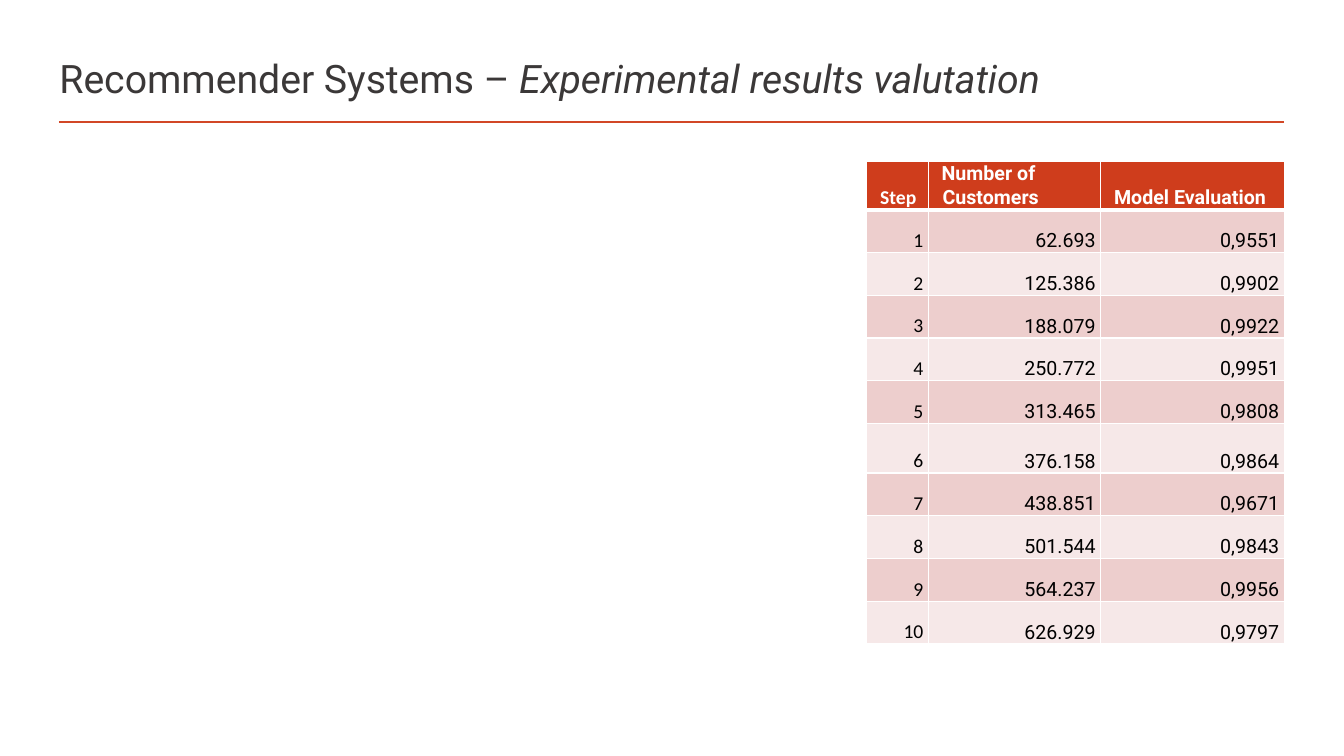
from lxml.etree import SubElement
from pptx import Presentation
from pptx.dml.color import RGBColor
from pptx.enum.shapes import MSO_CONNECTOR as CONN
from pptx.enum.text import MSO_ANCHOR as ANCHOR, PP_ALIGN as ALIGN
from pptx.oxml.ns import qn
from pptx.util import Inches, Pt

HEADERS = ["Step", "Number of Customers", "Model Evaluation"]
RESULTS = [
    ("62.693", "0,9551"), ("125.386", "0,9902"), ("188.079", "0,9922"),
    ("250.772", "0,9951"), ("313.465", "0,9808"), ("376.158", "0,9864"),
    ("438.851", "0,9671"), ("501.544", "0,9843"), ("564.237", "0,9956"),
    ("626.929", "0,9797"),
]
TALL_STEP = 6
HEADER_H, TALL_H = 6.27, 6.53


def rgb(value):
    return RGBColor.from_string(value)


def add_text(p, text, font="Roboto", size=14, color="000000", bold=False, italic=False):
    r = p.add_run()
    r.text = text
    f = r.font
    f.name, f.size, f.bold, f.italic = font, Pt(size), bold, italic
    f.color.rgb = rgb(color)


class Deck:
    """Slide style and drawing methods; lengths are percent of the slide's size."""

    ACCENT, HEAD, WHITE, TITLE = "D24726", "CF3D1C", "FFFFFF", "3B3838"
    BANDS = ("EDCECD", "F6E8E8")

    def __init__(self):
        self.prs = Presentation()
        self.prs.slide_width, self.prs.slide_height = Inches(13.33), Inches(7.5)
        self.s = self.prs.slides.add_slide(self.prs.slide_layouts[6])

    def x(self, share):
        return round(self.prs.slide_width * share / 100)

    def y(self, share):
        return round(self.prs.slide_height * share / 100)

    def box(self, left, top, width, height):
        return self.x(left), self.y(top), self.x(width), self.y(height)

    def rule(self, left, right, top):
        sp = self.s.shapes.add_connector(
            CONN.STRAIGHT, self.x(left), self.y(top), self.x(right), self.y(top))
        sp.line.color.rgb, sp.line.width = rgb(self.ACCENT), Pt(2)
        SubElement(sp._element.spPr, qn("a:effectLst"))

    def title(self, text, emphasis, *place):
        tf = self.s.shapes.add_textbox(*self.box(*place)).text_frame
        tf.word_wrap, tf.vertical_anchor = True, ANCHOR.MIDDLE
        p = tf.paragraphs[0]
        add_text(p, text, size=28, color=self.TITLE)
        add_text(p, emphasis, size=28, color=self.TITLE, italic=True)

    def border(self, cell, side, width):
        ln = SubElement(cell._tc.get_or_add_tcPr(), qn(f"a:ln{side}"), w=str(Pt(width)))
        SubElement(SubElement(ln, qn("a:solidFill")), qn("a:srgbClr"), val=self.WHITE)

    def cell(self, cell, text, row, col):
        head = row == 0
        widths = {"L": 1, "R": 1, "T": 3 if row == 1 else 1, "B": 3 if head else 1}
        for side, width in widths.items():
            self.border(cell, side, width)
        cell.fill.solid()
        cell.fill.fore_color.rgb = rgb(self.HEAD if head else self.BANDS[(row - 1) % 2])
        cell.margin_left = cell.margin_right = Inches(0.05)
        cell.margin_top = cell.margin_bottom = 0
        cell.vertical_anchor = ANCHOR.BOTTOM
        p = cell.text_frame.paragraphs[0]
        p.alignment = ALIGN.LEFT if head else ALIGN.RIGHT
        p.line_spacing, p.space_after = 1.03, Pt(0.1)
        pPr = p._p.get_or_add_pPr()
        pPr.set("marL", str(Inches(0.09)))
        pPr.set("indent", str(Inches(-0.01)))
        add_text(p, text, font="Roboto" if col else "Calibri",
                 color=self.WHITE if head else "000000", bold=head)

    def table(self, rows, col_widths, row_heights, left, top):
        place = self.box(left, top, sum(col_widths), sum(row_heights))
        tbl = self.s.shapes.add_table(len(rows), len(col_widths), *place).table
        for col, width in zip(tbl.columns, col_widths):
            col.width = self.x(width)
        for i, (values, height) in enumerate(zip(rows, row_heights)):
            tbl.rows[i].height = self.y(height)
            for j, text in enumerate(values):
                self.cell(tbl.cell(i, j), text, i, j)


def main():
    deck = Deck()
    deck.rule(4.38, 95.55, 16.13)
    deck.title("Recommender Systems – ", "Experimental results valutation",
               3.68, 6.27, 91.95, 8.13)
    rows = [HEADERS] + [(str(n), *pair) for n, pair in enumerate(RESULTS, 1)]
    body_h = (63.73 - HEADER_H - TALL_H) / (len(RESULTS) - 1)
    heights = [HEADER_H] + [body_h] * len(RESULTS)
    heights[TALL_STEP] = TALL_H
    deck.table(rows, [4.58, 12.83, 13.65], heights, 64.5, 21.33)
    deck.prs.save("out.pptx")


if __name__ == "__main__":
    main()
